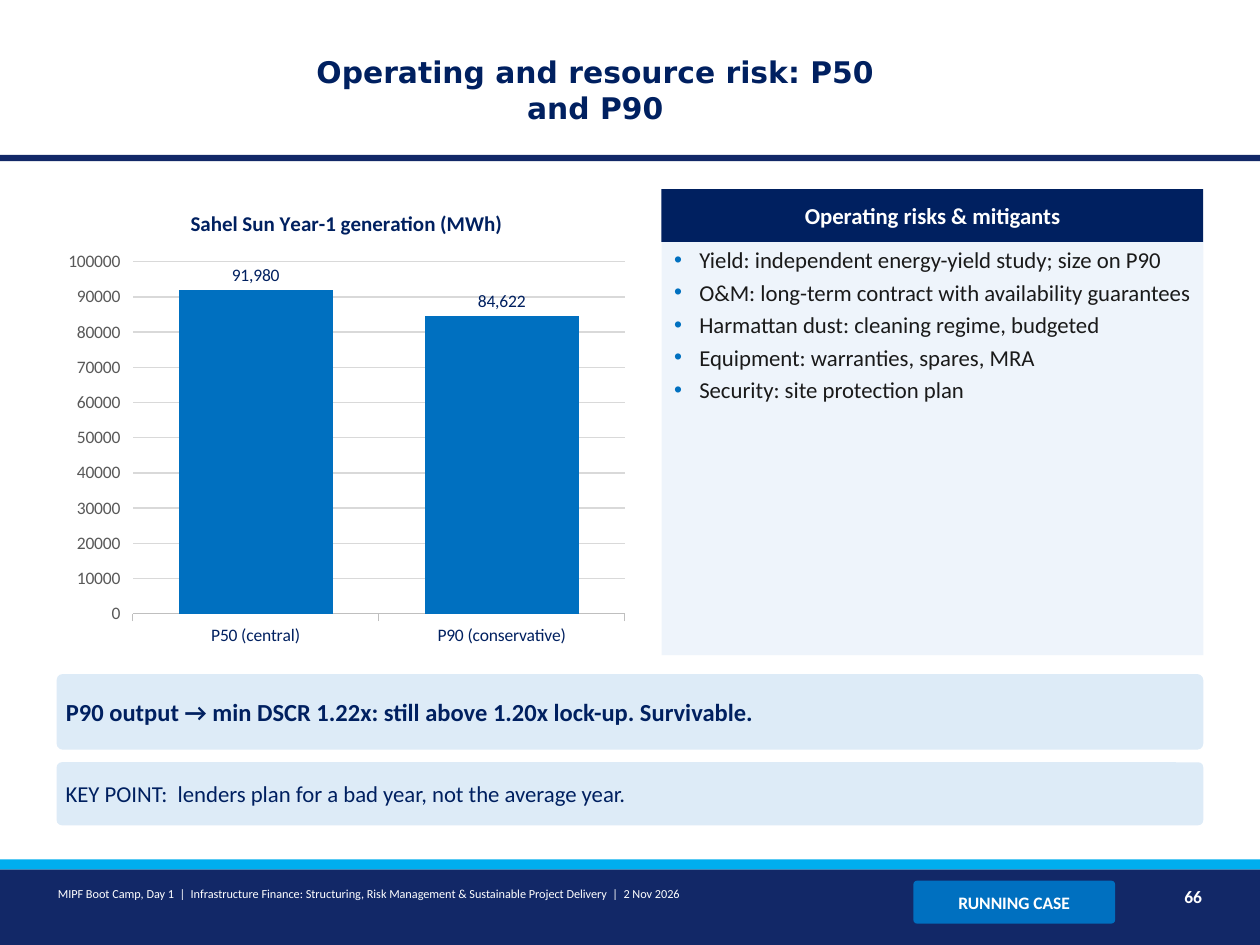
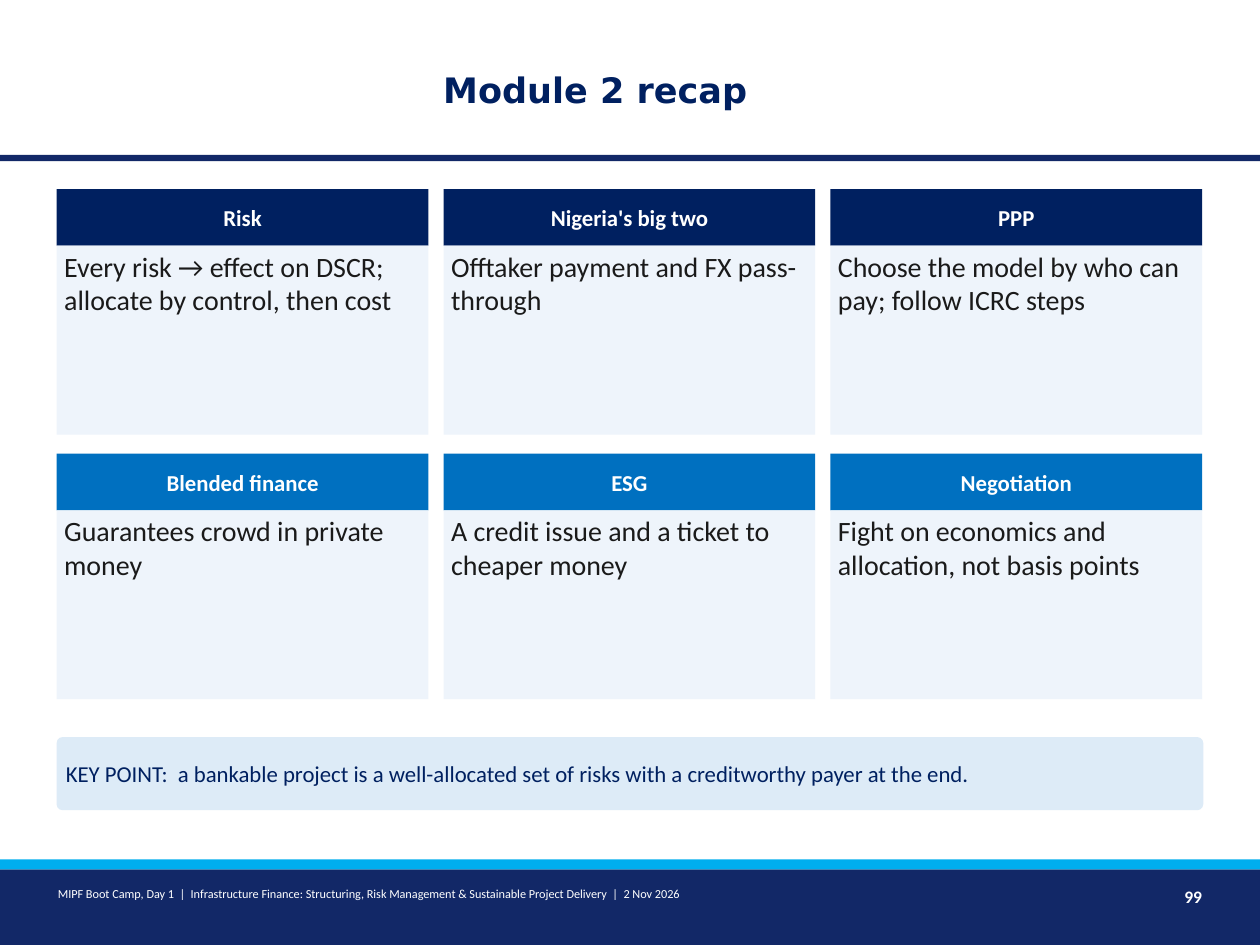
from lxml import etree
from pptx import Presentation
from pptx.chart.data import CategoryChartData
from pptx.dml.color import RGBColor
from pptx.enum.chart import XL_CHART_TYPE, XL_LABEL_POSITION, XL_TICK_MARK
from pptx.enum.shapes import MSO_SHAPE
from pptx.enum.text import MSO_ANCHOR, MSO_AUTO_SIZE, PP_ALIGN
from pptx.oxml.ns import qn
from pptx.util import Inches, Pt

RECT, ROUND = MSO_SHAPE.RECTANGLE, MSO_SHAPE.ROUNDED_RECTANGLE
LEFT, CENTER, RIGHT = PP_ALIGN.LEFT, PP_ALIGN.CENTER, PP_ALIGN.RIGHT
TOP, MIDDLE = MSO_ANCHOR.TOP, MSO_ANCHOR.MIDDLE
COLUMN = XL_CHART_TYPE.COLUMN_CLUSTERED
OUT_END = XL_LABEL_POSITION.OUTSIDE_END
TICK_OUT = XL_TICK_MARK.OUTSIDE

COLORS = {
    "navy": "002060", "band": "122867", "sky": "00AEEF", "blue": "0070C0",
    "pale": "EEF4FB", "note": "DDEBF7", "ink": "1A1A1A", "white": "FFFFFF",
    "gray": "595959", "axis": "BFBFBF", "grid": "D9D9D9",
}
BODY_FONT, TITLE_FONT = "Calibri", "DejaVu Sans"
MARGIN, WIDTH, START = 0.45, 9.1, 1.5
FOOTER = ("MIPF Boot Camp, Day 1  |  Infrastructure Finance: Structuring, "
          "Risk Management & Sustainable Project Delivery  |  2 Nov 2026")


def color(name):
    return RGBColor.from_string(COLORS[name])


def style(font, size, tint, bold=False, face=BODY_FONT):
    font.size, font.bold, font.name = Pt(size), bold, face
    font.color.rgb = color(tint)


def paint(shape, fill):
    shape.fill.solid()
    shape.fill.fore_color.rgb = color(fill)


def place(shape, box):
    shape.left, shape.top, shape.width, shape.height = map(Inches, box)


def write(shape, text, size, tint, bold=False, align=LEFT, anchor=MIDDLE,
          after=0):
    frame = shape.text_frame
    frame.word_wrap = True
    frame.margin_left = frame.margin_right = Inches(0.06)
    frame.margin_top = frame.margin_bottom = Inches(0.03)
    frame.vertical_anchor = anchor
    frame.text = text
    for para in frame.paragraphs:
        para.alignment = align
        para.space_before, para.space_after = Pt(0), Pt(after)
        for run in para.runs:
            style(run.font, size, tint, bold)


def add_box(slide, box, fill, kind=RECT):
    shape = slide.shapes.add_shape(kind, *map(Inches, box))
    shape.shadow.inherit = False
    paint(shape, fill)
    shape.line.fill.background()
    if kind == ROUND:
        shape.adjustments[0] = 0.08
    return shape


def add_text(slide, box, text, size, **look):
    write(slide.shapes.add_textbox(*map(Inches, box)), text, size, "white",
          anchor=TOP, **look)


def add_head(slide, box, text, fill="navy"):
    write(add_box(slide, box, fill), text, 13, "white", True, CENTER)


def add_note(slide, top, height, text, size=13, bold=False):
    bar = add_box(slide, (MARGIN, top, WIDTH, height), "note", ROUND)
    write(bar, text, size, "navy", bold)


def add_bullet(para):
    props = para._p.get_or_add_pPr()
    props.set("marL", str(Inches(0.24)))
    props.set("indent", str(Inches(-0.2)))
    tint = etree.SubElement(props, qn("a:buClr"))
    etree.SubElement(tint, qn("a:srgbClr"), val=COLORS["blue"])
    etree.SubElement(props, qn("a:buFont"), typeface="Arial")
    etree.SubElement(props, qn("a:buChar"), char="•")


def add_list(slide, box, items):
    body = slide.placeholders[1]
    place(body, box)
    paint(body, "pale")
    write(body, "\n".join(items), 13, "ink", anchor=TOP, after=3)
    body.text_frame.auto_size = MSO_AUTO_SIZE.NONE
    for para in body.text_frame.paragraphs:
        add_bullet(para)


def add_chart(slide, box, title, cats, values):
    data = CategoryChartData()
    data.categories = cats
    data.add_series("Series 1", values)
    chart = slide.shapes.add_chart(COLUMN, *map(Inches, box), data).chart
    style(chart.font, 11, "navy")
    chart.has_legend = False
    chart.has_title = True
    chart.chart_title.text_frame.text = title
    chart.chart_title.include_in_layout = False
    style(chart.chart_title.text_frame.paragraphs[0].runs[0].font,
          12, "navy", True)

    # Axes
    names, scale = chart.category_axis, chart.value_axis
    for axis, tint in ((names, "navy"), (scale, "gray")):
        axis.major_tick_mark = TICK_OUT
        style(axis.tick_labels.font, 10, tint)
    scale.minimum_scale = 0
    scale.format.line.fill.background()
    grid = scale.major_gridlines.format.line
    for line, tint in ((names.format.line, "axis"), (grid, "grid")):
        line.color.rgb = color(tint)
        line.width = Pt(0.75)

    # Columns and their labels
    plot = chart.plots[0]
    plot.gap_width = 60
    plot.vary_by_categories = False
    paint(plot.series[0].format, "blue")
    plot.has_data_labels = True
    labels = plot.data_labels
    labels.show_value = True
    labels.position = OUT_END
    labels.number_format, labels.number_format_is_linked = "#,##0", False
    style(labels.font, 10, "navy")


def add_slide(deck, layout, title, size, number):
    slide = deck.slides.add_slide(deck.slide_layouts.get_by_name(layout))
    # Title
    head = slide.shapes.title
    place(head, (2.3, 0.22, 4.85, 0.98))
    frame = head.text_frame
    frame.text = title
    frame.vertical_anchor = MIDDLE
    frame.auto_size = MSO_AUTO_SIZE.NONE
    frame.paragraphs[0].alignment = CENTER
    style(frame.paragraphs[0].runs[0].font, size, "navy", True, TITLE_FONT)
    # Bands and footer
    for top, height, fill in ((1.23, 0.05, "band"), (6.9, 0.6, "band"),
                              (6.82, 0.08, "sky")):
        add_box(slide, (0, top, 10, height), fill)
    add_text(slide, (0.4, 7, 6.8, 0.35), FOOTER, 7)
    add_text(slide, (9, 7, 0.6, 0.35), str(number), 10, bold=True,
             align=RIGHT)
    return slide


def add_risk(deck):
    slide = add_slide(deck, "Title and Content",
                      "Operating and resource risk: P50 and P90", 17, 66)
    tag = add_box(slide, (7.25, 6.99, 1.6, 0.34), "blue", ROUND)
    write(tag, "RUNNING CASE", 10, "white", True, CENTER)
    add_chart(slide, (MARGIN, START, 4.6, 3.7),
              "Sahel Sun Year-1 generation (MWh)",
              ("P50 (central)", "P90 (conservative)"), (91980, 84622))
    add_head(slide, (5.25, START, 4.3, 0.42), "Operating risks & mitigants")
    add_list(slide, (5.25, START + 0.42, 4.3, 3.28), (
        "Yield: independent energy-yield study; size on P90",
        "O&M: long-term contract with availability guarantees",
        "Harmattan dust: cleaning regime, budgeted",
        "Equipment: warranties, spares, MRA",
        "Security: site protection plan",
    ))
    add_note(slide, 5.35, 0.6, "P90 output → min DSCR 1.22x: still above "
             "1.20x lock-up. Survivable.", 14, True)
    add_note(slide, 6.05, 0.5, "KEY POINT:  lenders plan for a bad year, "
             "not the average year.")


def add_recap(deck):
    slide = add_slide(deck, "Title Only", "Module 2 recap", 20, 99)
    cards = (
        ("Risk", "Every risk → effect on DSCR; allocate by control, "
                 "then cost"),
        ("Nigeria's big two", "Offtaker payment and FX pass-through"),
        ("PPP", "Choose the model by who can pay; follow ICRC steps"),
        ("Blended finance", "Guarantees crowd in private money"),
        ("ESG", "A credit issue and a ticket to cheaper money"),
        ("Negotiation", "Fight on economics and allocation, "
                        "not basis points"),
    )
    # Three cards to a row
    for i, (name, text) in enumerate(cards):
        row, col = divmod(i, 3)
        left, top = MARGIN + 3.07 * col, START + 2.1 * row
        add_head(slide, (left, top, 2.95, 0.45), name,
                 ("navy", "blue")[row])
        card = add_box(slide, (left, top + 0.45, 2.95, 1.5), "pale")
        write(card, text, 16, "ink", anchor=TOP, after=3)
    add_note(slide, 5.85, 0.58, "KEY POINT:  a bankable project is a "
             "well-allocated set of risks with a creditworthy payer "
             "at the end.")


def main():
    deck = Presentation()
    deck.slide_width, deck.slide_height = Inches(10), Inches(7.5)
    add_risk(deck)
    add_recap(deck)
    deck.save("out.pptx")


if __name__ == "__main__":
    main()
